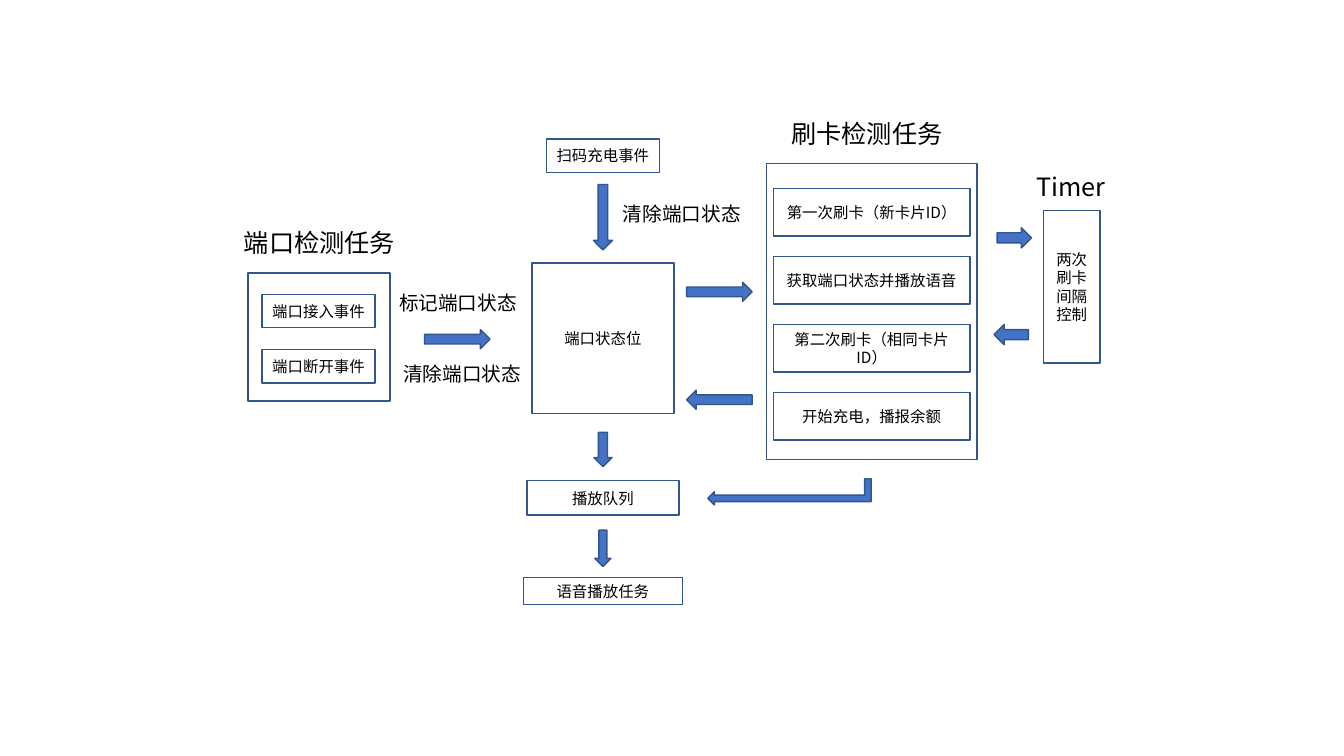
import pptx
import pptx.util
import pptx.dml.color
import pptx.enum.shapes
import pptx.enum.text
import pptx.oxml.ns
import lxml.etree

FONT = "Noto Sans CJK SC"
SHAPE = pptx.enum.shapes.MSO_SHAPE
ALIGN = pptx.enum.text.PP_ALIGN
Inches = pptx.util.Inches


def color(value):
    return pptx.dml.color.RGBColor.from_string(value)


def write(shape, text, size, alignment):
    frame = shape.text_frame
    frame.text = text
    frame.word_wrap = True
    paragraph = frame.paragraphs[0]
    paragraph.alignment = alignment
    font = paragraph.runs[0].font
    font.size = pptx.util.Pt(size)
    font.name = FONT
    font.color.rgb = color("000000")
    east_asian = lxml.etree.Element(pptx.oxml.ns.qn("a:ea"), typeface=FONT)
    font._element.find(pptx.oxml.ns.qn("a:latin")).addnext(east_asian)


def add_outlined(slide, kind, box, fill=None):
    shape = slide.shapes.add_shape(kind, *map(Inches, box))
    shape.shadow.inherit = False
    shape.line.color.rgb = color("325491")
    shape.line.width = pptx.util.Pt(1)
    if fill:
        shape.fill.solid()
        shape.fill.fore_color.rgb = color(fill)
    else:
        shape.fill.background()
    return shape


def add_node(slide, text, box):
    node = add_outlined(slide, SHAPE.RECTANGLE, box, "FFFFFF")
    node.text_frame.vertical_anchor = pptx.enum.text.MSO_ANCHOR.MIDDLE
    write(node, text, 11, ALIGN.CENTER)


def add_arrow(slide, kind, box):
    return add_outlined(slide, kind, box, "4472C4")


def add_label(slide, text, box, size):
    label = slide.shapes.add_textbox(*map(Inches, box))
    write(label, text, size, ALIGN.LEFT)


def port_detection(slide, left, top, width, height):
    add_label(slide, "端口检测任务", (left - 0.14, top - 0.5, 1.94, 0.4), 18)
    add_outlined(slide, SHAPE.RECTANGLE, (left, top, width, height))
    for index, event in enumerate(("端口接入事件", "端口断开事件")):
        add_node(slide, event, (left + 0.14, top + 0.21 + 0.55 * index, 1.12, 0.33))


def port_marking(slide, left, top, width, height):
    add_label(slide, "标记端口状态", (left, top, width, 0.34), 14)
    add_arrow(slide, SHAPE.RIGHT_ARROW, (left + 0.35, top + 0.43, 0.65, 0.19))
    add_label(slide, "清除端口状态", (left + 0.04, top + height - 0.34, width, 0.34), 14)


def status_flow(slide, left, top, width, height):
    center = left + width / 2
    nodes = (
        ("扫码充电事件", 0, 1.12, 0.33),
        ("端口状态位", 1.23, 1.41, 1.49),
        ("播放队列", 3.39, 1.51, 0.34),
        ("语音播放任务", height - 0.27, width, 0.27),
    )
    for text, offset, node_width, node_height in nodes:
        add_node(slide, text, (center - node_width / 2, top + offset, node_width, node_height))
    for offset, thickness, length in ((0.45, 0.19, 0.65), (2.91, 0.18, 0.34), (3.88, 0.16, 0.36)):
        add_arrow(slide, SHAPE.DOWN_ARROW, (center - thickness / 2, top + offset, thickness, length))
    add_label(slide, "清除端口状态", (center + 0.1, top + 0.57, 1.41, 0.34), 14)


def card_exchange(slide, left, top, width, height):
    add_arrow(slide, SHAPE.RIGHT_ARROW, (left, top, width, 0.19))
    add_arrow(slide, SHAPE.LEFT_ARROW, (left, top + height - 0.19, width, 0.19))


def card_detection(slide, left, top, width, height):
    add_label(slide, "刷卡检测任务", (left + 0.15, top - 0.5, 1.94, 0.4), 18)
    add_outlined(slide, SHAPE.RECTANGLE, (left, top, width, height))
    steps = ("第一次刷卡（新卡片ID）", "获取端口状态并播放语音", "第二次刷卡（相同卡片ID）", "开始充电，播报余额")
    for index, step in enumerate(steps):
        add_node(slide, step, (left + 0.07, top + 0.25 + 0.675 * index, width - 0.14, 0.47))


def queue_return(slide, left, top, width, height):
    box = (left + (width - height) / 2, top + (height - width) / 2, height, width)
    arrow = add_arrow(slide, SHAPE.BENT_UP_ARROW, box)
    arrow.adjustments[1] = 0.252
    arrow.rotation = 90
    arrow._element.spPr.xfrm.set("flipV", "1")


def timer(slide, left, top, width, height):
    add_label(slide, "Timer", (left - 0.17, top - 0.44, 0.9, 0.4), 18)
    add_node(slide, "两次刷卡间隔控制", (left, top, width, height))
    add_arrow(slide, SHAPE.RIGHT_ARROW, (left - 0.46, top + 0.17, 0.34, 0.2))
    add_arrow(slide, SHAPE.LEFT_ARROW, (left - 0.49, top + 1.13, 0.34, 0.2))


presentation = pptx.Presentation()
presentation.slide_width = Inches(13.33)
presentation.slide_height = Inches(7.5)
slide = presentation.slides.add_slide(presentation.slide_layouts[6])

port_detection(slide, 2.46, 2.71, 1.41, 1.27)
port_marking(slide, 3.86, 2.84, 1.41, 1.04)
status_flow(slide, 5.19, 1.38, 1.58, 4.62)
card_exchange(slide, 6.81, 2.8, 0.65, 1.26)
card_detection(slide, 7.6, 1.62, 2.09, 2.94)
queue_return(slide, 7.02, 4.75, 1.62, 0.26)
timer(slide, 10.35, 2.09, 0.56, 1.51)

presentation.save("out.pptx")
